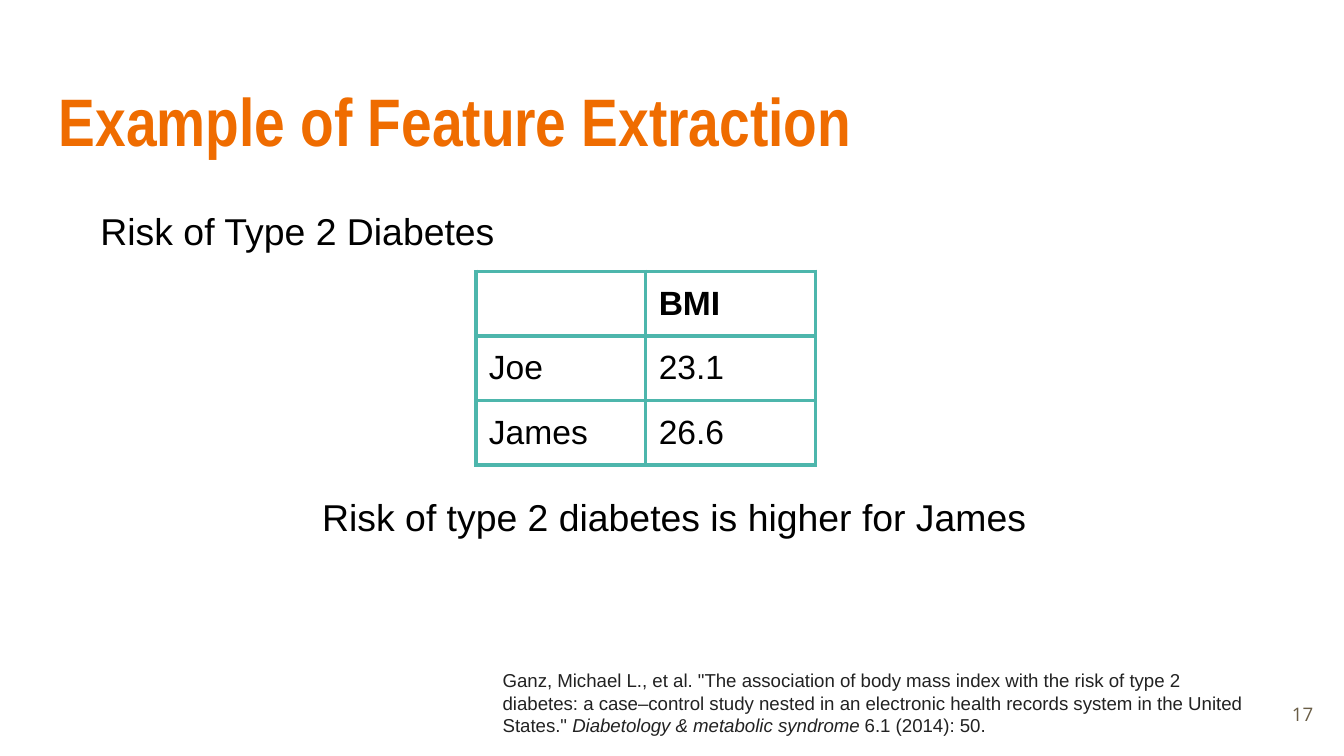
from dataclasses import dataclass

import pptx
import pptx.dml.color
import pptx.enum.text
import pptx.oxml
import pptx.oxml.ns
import pptx.util

Cm, Pt = pptx.util.Cm, pptx.util.Pt
Align, Anchor = pptx.enum.text.PP_ALIGN, pptx.enum.text.MSO_ANCHOR


@dataclass(frozen=True)
class Style:
    size: float
    color: str
    face: str = "Arial"
    bold: bool = False


@dataclass(frozen=True)
class Theme:
    title: Style = Style(36, "EF6C00", "Arial Narrow", True)
    body: Style = Style(20, "000000")
    head: Style = Style(18, "000000", bold=True)
    cell: Style = Style(18, "000000")
    cite: Style = Style(10, "222222")
    page: Style = Style(10, "695D46", "Open Sans")
    rule: str = "4DB6AC"
    width: float = 2.25
    inset: float = 0.25


@dataclass(frozen=True)
class Note:
    """A text box in centimetres; every second run is italic."""
    left: float
    top: float
    width: float
    height: float
    runs: tuple[str, ...]
    style: Style
    align: Align = Align.LEFT
    anchor: Anchor = Anchor.TOP


THEME = Theme()

TITLE = Note(0.86, 1.24, 23.67, 1.96, ("Example of Feature Extraction",), THEME.title)
NOTES = (
    Note(23.55, 12.95, 1.52, 1.09, ("17",), THEME.page, Align.RIGHT, Anchor.MIDDLE),
    Note(1.65, 3.68, 12.09, 1.3, ("Risk of Type 2 Diabetes",), THEME.body),
    Note(5.84, 9.09, 14.05, 1.65,
         ("Risk of type 2 diabetes is higher for James",), THEME.body),
    Note(9.25, 12.4, 14.55, 1.65,
         ('Ganz, Michael L., et al. "The association of body mass index with the '
          "risk of type 2 diabetes: a case–control study nested in an electronic "
          'health records system in the United States." ',
          "Diabetology & metabolic syndrome",
          " 6.1 (2014): 50."), THEME.cite),
)
ROWS = (("", "BMI"), ("Joe", "23.1"), ("James", "26.6"))


def set_font(para, style: Style) -> None:
    font = para.font
    font.name, font.size, font.bold = style.face, Pt(style.size), style.bold
    font.color.rgb = pptx.dml.color.RGBColor.from_string(style.color)


def pad(item) -> None:
    """Give a text frame or a table cell the common inset."""
    for side in ("left", "top", "right", "bottom"):
        setattr(item, f"margin_{side}", Cm(THEME.inset))


def fill_note(shape, note: Note) -> None:
    shape.left, shape.top = Cm(note.left), Cm(note.top)
    shape.width, shape.height = Cm(note.width), Cm(note.height)
    frame = shape.text_frame
    frame.word_wrap = True
    frame.auto_size = pptx.enum.text.MSO_AUTO_SIZE.NONE
    frame.vertical_anchor = note.anchor
    pad(frame)
    para = frame.paragraphs[0]
    para.alignment = note.align
    set_font(para, note.style)
    for i, text in enumerate(note.runs):
        run = para.add_run()
        run.text = text
        if i % 2:
            run.font.italic = True


def set_edges(cell) -> None:
    """Draw the four cell borders, which come before the fill in the XML."""
    props = cell._tc.get_or_add_tcPr()
    for i, side in enumerate(("lnL", "lnR", "lnT", "lnB")):
        props.insert(i, pptx.oxml.parse_xml(
            f'<a:{side} {pptx.oxml.ns.nsdecls("a")} w="{Pt(THEME.width)}">'
            f'<a:solidFill><a:srgbClr val="{THEME.rule}"/></a:solidFill></a:{side}>'))


def add_grid(slide, left: float, top: float, col: float, row: float) -> None:
    rows, cols = len(ROWS), len(ROWS[0])
    table = slide.shapes.add_table(
        rows, cols, Cm(left), Cm(top), Cm(col * cols), Cm(row * rows)).table
    table.first_row = table.horz_banding = False
    for r, texts in enumerate(ROWS):
        for c, text in enumerate(texts):
            cell = table.cell(r, c)
            cell.text = text
            pad(cell)
            set_font(cell.text_frame.paragraphs[0], THEME.cell if r else THEME.head)
            cell.fill.background()
            set_edges(cell)


def main() -> None:
    deck = pptx.Presentation()
    deck.slide_width, deck.slide_height = Cm(25.4), Cm(14.29)
    slide = deck.slides.add_slide(deck.slide_layouts[5])

    # Title
    fill_note(slide.shapes.title, TITLE)

    # Page number, statements and citation
    for note in NOTES:
        fill_note(slide.shapes.add_textbox(0, 0, 0, 0), note)

    # BMI table
    add_grid(slide, left=8.99, top=5.13, col=3.21, row=1.22)

    deck.save("out.pptx")


if __name__ == "__main__":
    main()
